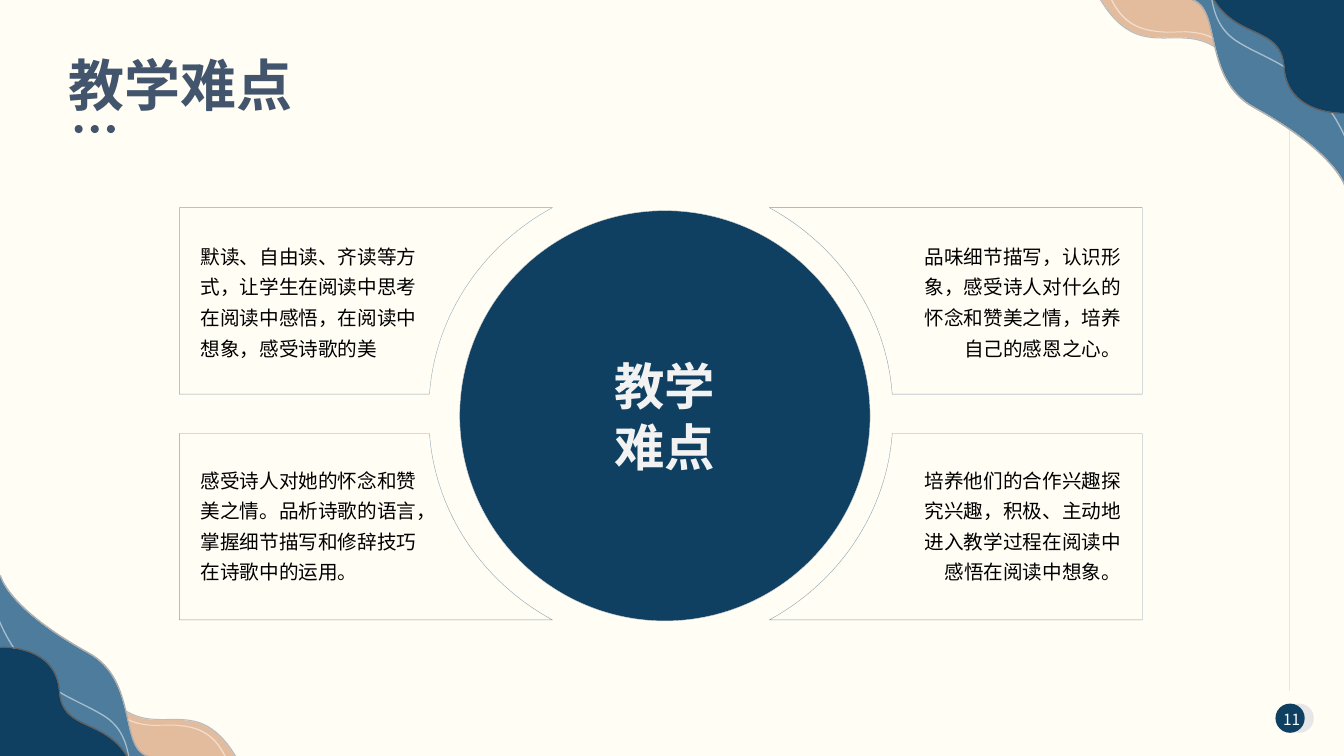
from dataclasses import dataclass
from typing import Any, Callable, Optional

from lxml.etree import Element, SubElement
from pptx import Presentation
from pptx.dml.color import RGBColor
from pptx.enum.shapes import MSO_CONNECTOR as Connector, MSO_SHAPE as Preset
from pptx.enum.text import MSO_ANCHOR as Anchor, MSO_AUTO_SIZE as AutoSize, PP_ALIGN as Align
from pptx.oxml.ns import qn
from pptx.util import Inches, Pt

FONT = "Noto Sans CJK SC"
COLOURS = {
    "cream": "FFFAE1", "navy": "0F4061", "blue": "4E7C9D", "tan": "E3BC9D",
    "slate": "42556C", "pale": "E7E6E6", "rim": "D7D7D7", "soft": "F2F2F2",
    "white": "FFFFFF", "black": "000000",
    "light_edge": "BCBCBC", "mid_edge": "ADADAD", "dark_edge": "606060",
}

Point = tuple[float, float]
Piece = list[Point]  # one point for a straight side, three for a cubic curve
Mapping = Callable[[Point], Point]


@dataclass
class Wave:
    """A cubic curve chain: start point, then three points per segment."""
    curve: list[Point]
    colour: str
    edge: str
    highlight: Optional[list[Point]] = None


@dataclass
class Card:
    text: str
    text_left: float
    text_top: float
    text_width: float
    align: Align
    flip_x: bool
    flip_y: bool
    opacity: int


WAVES = [
    Wave([(13.35, 1.24), (13.35, 1.24), (12.71, 1.22), (12.26, 0.65),
          (11.79, 0.05), (11.37, 0.73), (10.92, -0.01)], "tan", "light_edge",
         [(12.13, 0.45), (12.05, 0.36), (11.95, 0.32), (11.76, 0.31),
          (11.68, 0.31), (11.62, 0.32), (11.51, 0.31),
          (11.27, 0.29), (11.12, 0.2), (11.01, -0.05)]),
    Wave([(13.35, 1.86), (13.35, 1.86), (13.29, 1.53), (12.44, 1.06),
          (11.92, 0.77), (12.13, 0.07), (11.82, -0.01)], "blue", "mid_edge",
         [(13.42, 1.56), (13.32, 1.2), (13.05, 0.82), (12.73, 0.65),
          (12.6, 0.57), (12.4, 0.49), (12.25, 0.39),
          (12.1, 0.28), (12.05, 0.14), (12.02, -0.03)]),
    Wave([(13.35, 1.12), (13.35, 1.12), (12.77, 1.15), (12.74, 0.66),
          (12.71, 0.25), (12.28, 0.39), (12.04, -0.01)], "navy", "dark_edge"),
]
CARDS = [
    Card("默读、自由读、齐读等方式，让学生在阅读中思考在阅读中感悟，在阅读中想象，感受诗歌的美",
         1.89, 2.31, 2.41, Align.LEFT, False, False, 45),
    Card("品味细节描写，认识形象，感受诗人对什么的怀念和赞美之情，培养自己的感恩之心。",
         8.89, 2.31, 2.33, Align.RIGHT, True, False, 51),
    Card("感受诗人对她的怀念和赞美之情。品析诗歌的语言，掌握细节描写和修辞技巧在诗歌中的运用。",
         1.89, 4.53, 2.41, Align.LEFT, False, True, 50),
    Card("培养他们的合作兴趣探究兴趣，积极、主动地进入教学过程在阅读中感悟在阅读中想象。",
         8.89, 4.53, 2.33, Align.RIGHT, True, True, 50),
]


def rgb(name: str) -> RGBColor:
    return RGBColor.from_string(COLOURS[name])


def paint(fill: Any, colour: Optional[str], opacity: int = 100) -> None:
    if colour is None:
        fill.background()
        return
    fill.solid()
    fill.fore_color.rgb = rgb(colour)
    if opacity < 100:
        srgb = fill._xPr.find(qn("a:solidFill")).find(qn("a:srgbClr"))
        SubElement(srgb, qn("a:alpha")).set("val", str(opacity * 1000))


def style(shape: Any, fill: Optional[str], opacity: int = 100,
          line: Optional[str] = None, line_opacity: int = 100) -> None:
    shape.shadow.inherit = False
    paint(shape.fill, fill, opacity)
    paint(shape.line.fill, line, line_opacity)
    if line:
        shape.line.width = Pt(0.25)


def add_preset(shapes: Any, preset: Preset, left: float, top: float, width: float,
               height: float, fill: str, opacity: int = 100, line: Optional[str] = None) -> Any:
    shape = shapes.add_shape(preset, *map(Inches, (left, top, width, height)))
    style(shape, fill, opacity, line)
    return shape


def write(frame: Any, lines: list[str], size: float, colour: str, bold: bool = False,
          anchor: Anchor = Anchor.TOP, margin: Optional[float] = None, **layout: Any) -> None:
    frame.word_wrap = True
    frame.vertical_anchor = anchor
    if margin is not None:
        for side in ("left", "top", "right", "bottom"):
            setattr(frame, f"margin_{side}", Inches(margin))
    for index, text in enumerate(lines):
        paragraph = frame.paragraphs[0] if index == 0 else frame.add_paragraph()
        for name, value in layout.items():
            setattr(paragraph, name, value)
        run = paragraph.add_run()
        run.text = text
        for name, value in {"name": FONT, "size": Pt(size), "bold": bold}.items():
            setattr(run.font, name, value)
        run.font.color.rgb = rgb(colour)
        SubElement(run._r.get_or_add_rPr(), qn("a:ea")).set("typeface", FONT)


def add_text(shapes: Any, left: float, top: float, width: float, height: float,
             text: str, size: float, colour: str, **layout: Any) -> None:
    box = shapes.add_textbox(*map(Inches, (left, top, width, height)))
    box.text_frame.auto_size = AutoSize.SHAPE_TO_FIT_TEXT
    write(box.text_frame, [text], size, colour, **layout)


def curve_pieces(curve: list[Point]) -> list[Piece]:
    return [curve[first:first + 3] for first in range(1, len(curve), 3)]


def add_outline(shapes: Any, start: Point, pieces: list[Piece], mapping: Mapping) -> Any:
    builder = shapes.build_freeform(*map(Inches, mapping(start)), scale=1.0)
    points = [tuple(map(Inches, mapping(point))) for piece in pieces for point in piece]
    builder.add_line_segments(points, close=True)
    shape = builder.convert_to_shape()
    # Join each run of three straight sides into one cubic curve
    sides = iter(list(shape._element.iter(qn("a:lnTo"))))
    for piece in pieces:
        group = [next(sides) for _ in piece]
        if len(group) == 3:
            bezier = Element(qn("a:cubicBezTo"))
            group[0].addprevious(bezier)
            for side in group:
                bezier.append(side[0])
                side.getparent().remove(side)
    return shape


def add_ribbon(shapes: Any, curve: list[Point], mapping: Mapping) -> Any:
    width = 0.01
    back = [(x - width, y + width) for x, y in reversed(curve)]
    pieces = [*curve_pieces(curve), [back[0]], *curve_pieces(back)]
    return add_outline(shapes, curve[0], pieces, mapping)


def add_corner(shapes: Any, mapping: Mapping) -> None:
    group = shapes.add_group_shape().shapes
    for wave in WAVES:
        pieces = [*curve_pieces(wave.curve), [(13.35, -0.01)]]
        style(add_outline(group, wave.curve[0], pieces, mapping), wave.colour)
        if wave.highlight:
            style(add_ribbon(group, wave.highlight, mapping), "white", 50)
        style(add_ribbon(group, wave.curve, mapping), wave.edge)


def add_card(shapes: Any, card: Card) -> None:
    def mirror(point: Point) -> Point:
        x, y = point
        return (13.11 - x if card.flip_x else x, 8.21 - y if card.flip_y else y)

    pieces = [[(5.48, 2.06)], [(4.8, 2.43), (4.32, 3.11), (4.26, 3.91)], [(1.78, 3.91)]]
    frame = add_outline(shapes, (1.78, 2.06), pieces, mirror)
    style(frame, None, line="navy", line_opacity=card.opacity)


def main() -> None:
    presentation = Presentation()
    presentation.slide_width, presentation.slide_height = Inches(13.33), Inches(7.5)
    shapes = presentation.slides.add_slide(presentation.slide_layouts[6]).shapes

    # Background
    backdrop = add_preset(shapes, Preset.ROUNDED_RECTANGLE, 0, 0, 13.33, 7.5, "cream", 35)
    backdrop.adjustments[0] = 0

    # Page number and side rule
    badge = shapes.add_group_shape().shapes
    for left, colour in ((12.74, "pale"), (12.65, "navy")):
        add_preset(badge, Preset.OVAL, left, 6.98, 0.29, 0.29, colour)
    rule = badge.add_connector(Connector.STRAIGHT, *map(Inches, (12.79, 6.86, 12.79, 0.64)))
    rule.line.color.rgb = rgb("pale")
    rule.line.width = Pt(0.5)
    SubElement(rule._element.spPr, qn("a:effectLst"))
    add_text(badge, 12.7, 7.04, 0.22, 0.19, "11", 11, "white",
             anchor=Anchor.MIDDLE, margin=0, alignment=Align.CENTER)

    # Corner waves: the lower one is turned half round and slightly smaller
    add_corner(shapes, lambda point: point)
    add_corner(shapes, lambda point: ((13.35 - point[0]) * 0.96, 7.5 - point[1] * 0.96))

    # Title with three dots
    heading = shapes.add_group_shape().shapes
    add_text(heading, 0.68, 0.5, 11.65, 0.67, "教学难点", 40, "slate", bold=True, margin=0)
    for index in range(3):
        add_preset(heading, Preset.OVAL, 0.74 + index * 0.16, 1.24, 0.08, 0.08, "slate")

    # Cards around the central circle
    for card in CARDS:
        add_card(shapes, card)
    circle = add_preset(shapes, Preset.OVAL, 4.56, 2.09, 4.07, 4.07, "navy", line="rim")
    write(circle.text_frame, ["教学", "难点"], 36, "soft", bold=True,
          anchor=Anchor.MIDDLE, alignment=Align.CENTER)
    for card in CARDS:
        add_text(shapes, card.text_left, card.text_top, card.text_width, 1.31, card.text,
                 14, "black", alignment=card.align, line_spacing=1.3)

    presentation.save("out.pptx")


if __name__ == "__main__":
    main()
